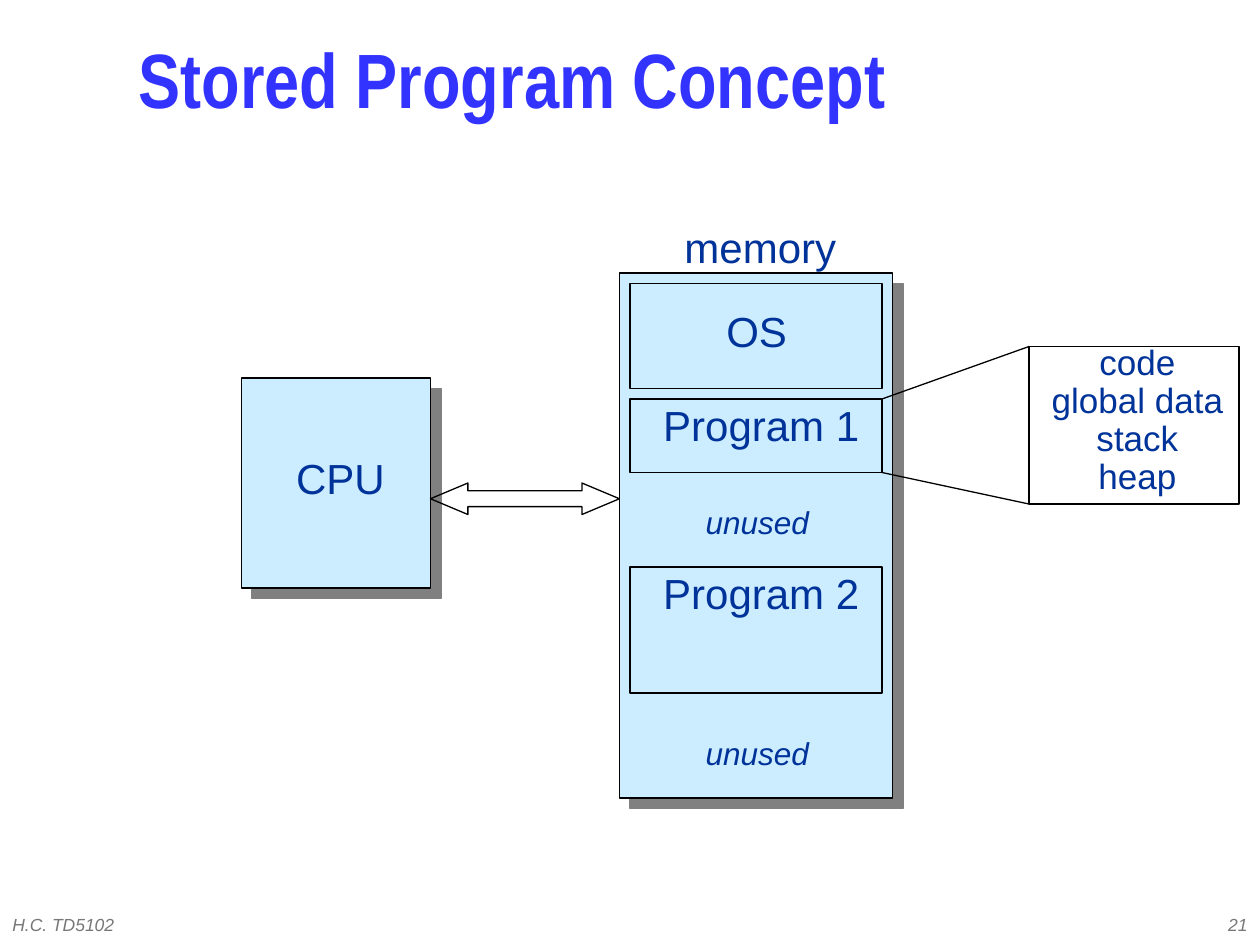
from typing import NamedTuple

from lxml.etree import SubElement
from pptx import Presentation
from pptx.dml.color import RGBColor
from pptx.enum.shapes import MSO_CONNECTOR, MSO_SHAPE
from pptx.enum.text import MSO_ANCHOR, MSO_AUTO_SIZE, PP_ALIGN
from pptx.oxml.ns import qn
from pptx.util import Pt

TITLE = RGBColor(0x33, 0x33, 0xFF)
NAVY = RGBColor(0x00, 0x33, 0x99)
SKY = RGBColor(0xCC, 0xEC, 0xFF)
INK = RGBColor(0x01, 0x00, 0x00)
GREY = RGBColor(0x77, 0x77, 0x77)
SHADE = RGBColor(0x80, 0x80, 0x80)
LEFT, MID, RIGHT = PP_ALIGN.LEFT, PP_ALIGN.CENTER, PP_ALIGN.RIGHT


class Box(NamedTuple):
    x: float
    y: float
    w: float
    h: float


class Label(NamedTuple):
    box: Box
    lines: tuple[str, ...]
    size: float = 24
    align: PP_ALIGN = MID
    color: RGBColor = NAVY
    slant: bool = False
    pitch: float = 1.1
    gap: float = 0
    grow: bool = True


# Layout in points
CPU = Box(138, 216, 108, 120)
MEMORY = Box(354, 156, 156, 300)
OS = Box(360, 162, 144, 60)
PROG1 = Box(360, 228, 144, 42)
PROG2 = Box(360, 324, 144, 72)
DETAIL = Box(588, 198, 120, 90)
BUS = Box(246, 276, 108, 18)

LABELS = [
    Label(Box(384, 120, 101, 39), ("memory",), align=LEFT),
    Label(Box(408, 168, 55.5, 39), ("OS",), align=LEFT),
    Label(Box(371, 222, 128, 39), ("Program 1",)),
    Label(Box(371, 318, 128, 39), ("Program 2",)),
    Label(Box(162, 252, 65, 39), ("CPU",)),
    Label(Box(592, 197.5, 116, 89), ("code", "global data", "stack", "heap"),
          size=20, pitch=0.7, gap=5),
    Label(Box(396, 281.5, 73.5, 31), ("unused",), size=18, slant=True),
    Label(Box(396, 413.5, 73.5, 31), ("unused",), size=18, slant=True),
    Label(Box(0, 516, 228, 24), ("H.C. TD5102",), 10, LEFT, GREY, True, 1, grow=False),
    Label(Box(570, 516, 150, 24), ("21",), 10, RIGHT, GREY, True, 1, grow=False),
]


def draw_shape(slide, box: Box, kind=MSO_SHAPE.RECTANGLE, fill=None):
    shape = slide.shapes.add_shape(kind, *map(Pt, box))
    shape.shadow.inherit = False
    if fill is None:
        shape.fill.background()
    else:
        shape.fill.solid()
        shape.fill.fore_color.rgb = fill
    shape.line.color.rgb = INK
    shape.line.width = Pt(0.75)
    return shape


def draw_panel(slide, box: Box) -> None:
    """Filled block with a hard shadow to the lower right."""
    shape = draw_shape(slide, box, fill=SKY)
    effect = shape._element.spPr.find(qn("a:effectLst"))
    shadow = SubElement(effect, qn("a:outerShdw"), dist=str(Pt(8.5)),
                        dir="2700000", algn="ctr", rotWithShape="0")
    SubElement(shadow, qn("a:srgbClr"), val=str(SHADE))


def draw_line(slide, x1: float, y1: float, x2: float, y2: float) -> None:
    line = slide.shapes.add_connector(
        MSO_CONNECTOR.STRAIGHT, Pt(x1), Pt(y1), Pt(x2), Pt(y2))
    line.line.color.rgb = INK
    line.line.width = Pt(0.75)
    SubElement(line._element.spPr, qn("a:effectLst"))


def draw_label(slide, label: Label) -> None:
    frame = slide.shapes.add_textbox(*map(Pt, label.box)).text_frame
    frame.word_wrap = False
    frame.vertical_anchor = MSO_ANCHOR.MIDDLE
    frame.auto_size = (MSO_AUTO_SIZE.SHAPE_TO_FIT_TEXT if label.grow
                       else MSO_AUTO_SIZE.NONE)
    for i, text in enumerate(label.lines):
        para = frame.add_paragraph() if i else frame.paragraphs[0]
        para.alignment = label.align
        para.line_spacing = label.pitch
        if i:
            para.space_before = Pt(label.gap)
        run = para.add_run()
        run.text = text
        font = run.font
        font.name, font.size = "Arial", Pt(label.size)
        font.italic = label.slant
        font.color.rgb = label.color


def set_title(slide, text: str) -> None:
    title = slide.shapes.title
    title.left, title.top, title.width, title.height = map(Pt, (72, 12, 618, 78))
    frame = title.text_frame
    frame.auto_size = MSO_AUTO_SIZE.NONE
    frame.vertical_anchor = MSO_ANCHOR.MIDDLE
    para = frame.paragraphs[0]
    para.alignment = LEFT
    para.line_spacing = 0.7
    run = para.add_run()
    run.text = text
    font = run.font
    font.name, font.size, font.bold = "Arial Narrow", Pt(44), True
    font.color.rgb = TITLE


def main() -> None:
    deck = Presentation()
    deck.slide_width, deck.slide_height = Pt(720), Pt(540)
    slide = deck.slides.add_slide(deck.slide_layouts[5])
    set_title(slide, "Stored Program Concept")

    # Processor and memory, with the regions in memory
    for box in (CPU, MEMORY):
        draw_panel(slide, box)
    for box in (OS, PROG1, PROG2, DETAIL):
        draw_shape(slide, box)

    # Lines from program 1 to its detail
    edge = PROG1.x + PROG1.w
    draw_line(slide, edge, PROG1.y, DETAIL.x, DETAIL.y)
    draw_line(slide, edge, PROG1.y + PROG1.h, DETAIL.x, DETAIL.y + DETAIL.h)

    # Bus between processor and memory
    bus = draw_shape(slide, BUS, MSO_SHAPE.LEFT_RIGHT_ARROW)
    bus.adjustments[0] = 0.5
    bus.adjustments[1] = 1.19

    # Labels and footer
    for label in LABELS:
        draw_label(slide, label)

    deck.save("out.pptx")


if __name__ == "__main__":
    main()
